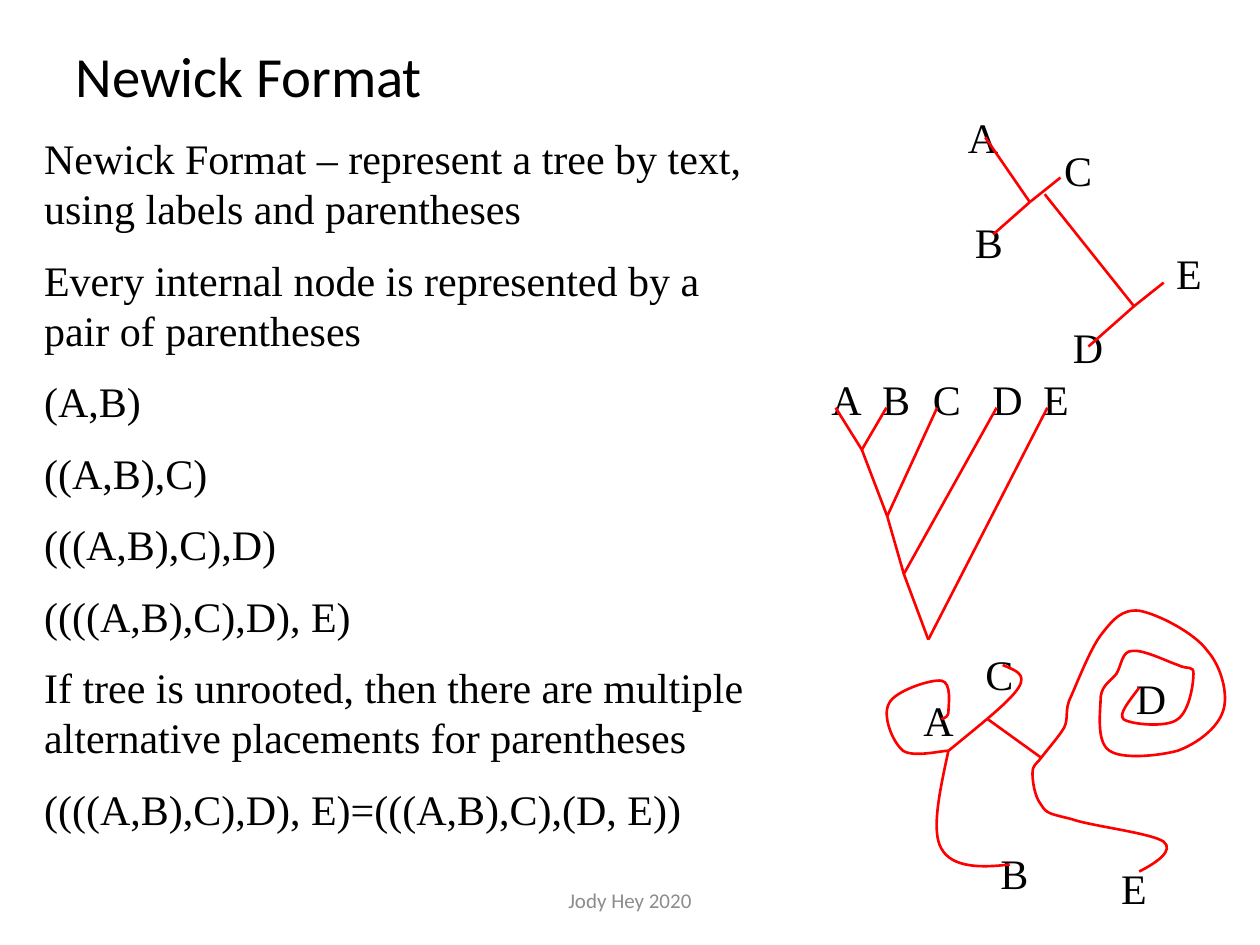
from dataclasses import dataclass

from lxml.etree import SubElement
from pptx import Presentation
from pptx.dml.color import RGBColor
from pptx.enum.shapes import MSO_CONNECTOR
from pptx.enum.text import MSO_ANCHOR, MSO_AUTO_SIZE, PP_ALIGN
from pptx.oxml.ns import qn
from pptx.util import Pt


@dataclass(frozen=True)
class Theme:
    ink: RGBColor = RGBColor(0, 0, 0)
    branch: RGBColor = RGBColor(0xFF, 0, 0)
    muted: RGBColor = RGBColor(0x8C, 0x8C, 0x8C)
    heading_font: str = "Calibri"
    text_font: str = "Times New Roman"
    title_size: float = 32.4
    text_size: float = 24
    footer_size: float = 12
    branch_width: float = 1.5


THEME = Theme()
LABEL_HEIGHT = 36

STATEMENTS = [
    "Newick Format – represent a tree by text, using labels and parentheses",
    "Every internal node is represented by a pair of parentheses",
    "(A,B)",
    "((A,B),C)",
    "(((A,B),C),D)",
    "((((A,B),C),D), E)",
    "If tree is unrooted, then there are multiple alternative placements for parentheses",
    "((((A,B),C),D), E)=(((A,B),C),(D, E))",
]

# Bent branches: a start point, then two control points and an end per curve.
BENT_BRANCHES = {
    "A": [(34, 63), (36, 62), (38, 62), (38, 58), (38, 55), (40, 42), (34, 41),
          (28, 40), (7, 47), (4, 54), (0, 61), (6, 76), (12, 81),
          (18, 85), (34, 81), (38, 81)],
    "B": [(38, 81), (33, 104), (28, 127), (34, 137), (40, 148), (57, 148), (73, 146)],
    "C": [(38, 81), (55, 67), (73, 53), (78, 45), (83, 37), (76, 35), (69, 32)],
    "D to E": [(147, 45), (141, 53), (135, 60), (138, 63), (142, 66), (163, 68), (169, 63),
               (176, 58), (178, 42), (178, 37), (178, 32), (175, 35), (169, 32),
               (163, 30), (149, 23), (143, 24), (137, 24), (137, 32), (134, 37),
               (131, 41), (126, 43), (125, 50), (125, 57), (122, 76), (130, 81),
               (137, 86), (158, 84), (169, 81), (180, 77), (192, 68), (195, 58),
               (198, 49), (194, 33), (186, 24), (179, 14), (158, 3), (147, 1),
               (137, 0), (132, 6), (125, 15), (119, 23), (112, 41), (108, 50),
               (104, 58), (107, 62), (104, 68), (101, 73), (94, 81), (91, 85),
               (88, 89), (86, 89), (86, 94), (86, 98), (87, 107), (91, 112),
               (94, 117), (96, 117), (108, 120), (119, 124), (154, 128), (161, 133),
               (167, 138), (157, 145), (147, 150)],
}


def place(shape, box):
    shape.left, shape.top, shape.width, shape.height = map(Pt, box)


def write(paragraph, words, font, size, color):
    run = paragraph.add_run()
    run.text = words
    run.font.name = font
    run.font.size = Pt(size)
    run.font.color.rgb = color


def add_text_box(slide, box, words, font, size, color):
    frame = slide.shapes.add_textbox(*map(Pt, box)).text_frame
    frame.word_wrap = True
    write(frame.paragraphs[0], words, font, size, color)
    return frame


def add_labels(slide, origin, width, spots):
    for letter, (x, y) in spots.items():
        box = (origin[0] + x, origin[1] + y, width, LABEL_HEIGHT)
        add_text_box(slide, box, letter, THEME.text_font, THEME.text_size, THEME.ink)


def style_branch(line):
    line.color.rgb = THEME.branch
    line.width = Pt(THEME.branch_width)


def add_branch(slide, origin, start, end):
    left, top = origin
    branch = slide.shapes.add_connector(
        MSO_CONNECTOR.STRAIGHT,
        Pt(left + start[0]), Pt(top + start[1]), Pt(left + end[0]), Pt(top + end[1]))
    style_branch(branch.line)
    SubElement(branch._element.spPr, qn("a:effectLst"))


def add_bent_branch(slide, origin, points):
    """Draw a freeform whose points, after the first, are Bézier triples."""
    start, *rest = [(Pt(origin[0] + x), Pt(origin[1] + y)) for x, y in points]
    builder = slide.shapes.build_freeform(*start)
    builder.add_line_segments(rest, close=False)
    branch = builder.convert_to_shape()
    segments = list(branch._element.iter(qn("a:lnTo")))
    outline = segments[0].getparent()
    for first in range(0, len(segments), 3):
        curve = SubElement(outline, qn("a:cubicBezTo"))
        for segment in segments[first:first + 3]:
            curve.append(segment[0])
            outline.remove(segment)
    branch.fill.background()
    branch.shadow.inherit = False
    style_branch(branch.line)


def fill_title(title, box):
    place(title, box)
    frame = title.text_frame
    frame.vertical_anchor = MSO_ANCHOR.MIDDLE
    frame.auto_size = MSO_AUTO_SIZE.NONE
    heading = frame.paragraphs[0]
    heading.alignment = PP_ALIGN.LEFT
    heading.line_spacing = 0.9
    write(heading, "Newick Format", THEME.heading_font, THEME.title_size, THEME.ink)


def fill_statements(body, box):
    place(body, box)
    frame = body.text_frame
    frame.auto_size = MSO_AUTO_SIZE.NONE
    for index, statement in enumerate(STATEMENTS):
        paragraph = frame.add_paragraph() if index else frame.paragraphs[0]
        paragraph.space_before = Pt(THEME.text_size / 2)
        properties = paragraph._p.get_or_add_pPr()
        properties.set("marL", "0")
        properties.set("indent", "0")
        SubElement(properties, qn("a:buNone"))
        write(paragraph, statement, THEME.text_font, THEME.text_size, THEME.ink)


def add_unrooted_tree(slide, origin):
    add_labels(slide, origin, 25, {
        "A": (0, 0), "B": (4, 60), "C": (55, 19), "D": (60, 120), "E": (119, 78)})
    tips = {"A": (17, 18.5), "B": (21.5, 74), "C": (60, 41.5), "D": (76, 138), "E": (119, 101.5)}
    ab_node, middle, de_node = (42.5, 55.5), (51, 51), (102, 115)
    for letter in "ABC":
        add_branch(slide, origin, ab_node, tips[letter])
    add_branch(slide, origin, middle, de_node)
    for letter in "DE":
        add_branch(slide, origin, de_node, tips[letter])


def add_rooted_tree(slide, origin):
    label_lefts = {"A": 0, "B": 29, "C": 58, "D": 92, "E": 121}
    add_labels(slide, origin, 29, {letter: (x, 0) for letter, x in label_lefts.items()})
    first_tip, *other_tips = [(x + 9.5, 23) for x in label_lefts.values()]
    nodes = [(24.5, 47), (39, 85), (48.5, 118), (62.5, 155.5)]
    for below, node, tip in zip([first_tip] + nodes, nodes, other_tips):
        add_branch(slide, origin, below, node)
        add_branch(slide, origin, node, tip)


def add_bent_tree(slide, origin):
    add_labels(slide, origin, 26, {
        "A": (16.5, 45.5), "B": (60.5, 133), "C": (52, 19), "D": (138, 32.5), "E": (129.5, 141.5)})
    for points in BENT_BRANCHES.values():
        add_bent_branch(slide, origin, points)
    add_branch(slide, origin, (60.5, 63), (91, 85))


def add_footer(slide, box):
    frame = add_text_box(slide, box, "Jody Hey 2020",
                         THEME.heading_font, THEME.footer_size, THEME.muted)
    frame.vertical_anchor = MSO_ANCHOR.MIDDLE
    frame.paragraphs[0].alignment = PP_ALIGN.CENTER


def main():
    deck = Presentation()
    deck.slide_width, deck.slide_height = Pt(720), Pt(540)
    slide = deck.slides.add_slide(deck.slide_layouts[1])
    fill_title(slide.shapes.title, (36, 24, 648, 42))
    fill_statements(slide.placeholders[1], (18, 72, 426, 424))
    add_rooted_tree(slide, (468, 210))
    add_unrooted_tree(slide, (546, 60))
    add_bent_tree(slide, (504, 348))
    add_footer(slide, (238, 500, 244, 29))
    deck.save("out.pptx")


if __name__ == "__main__":
    main()
